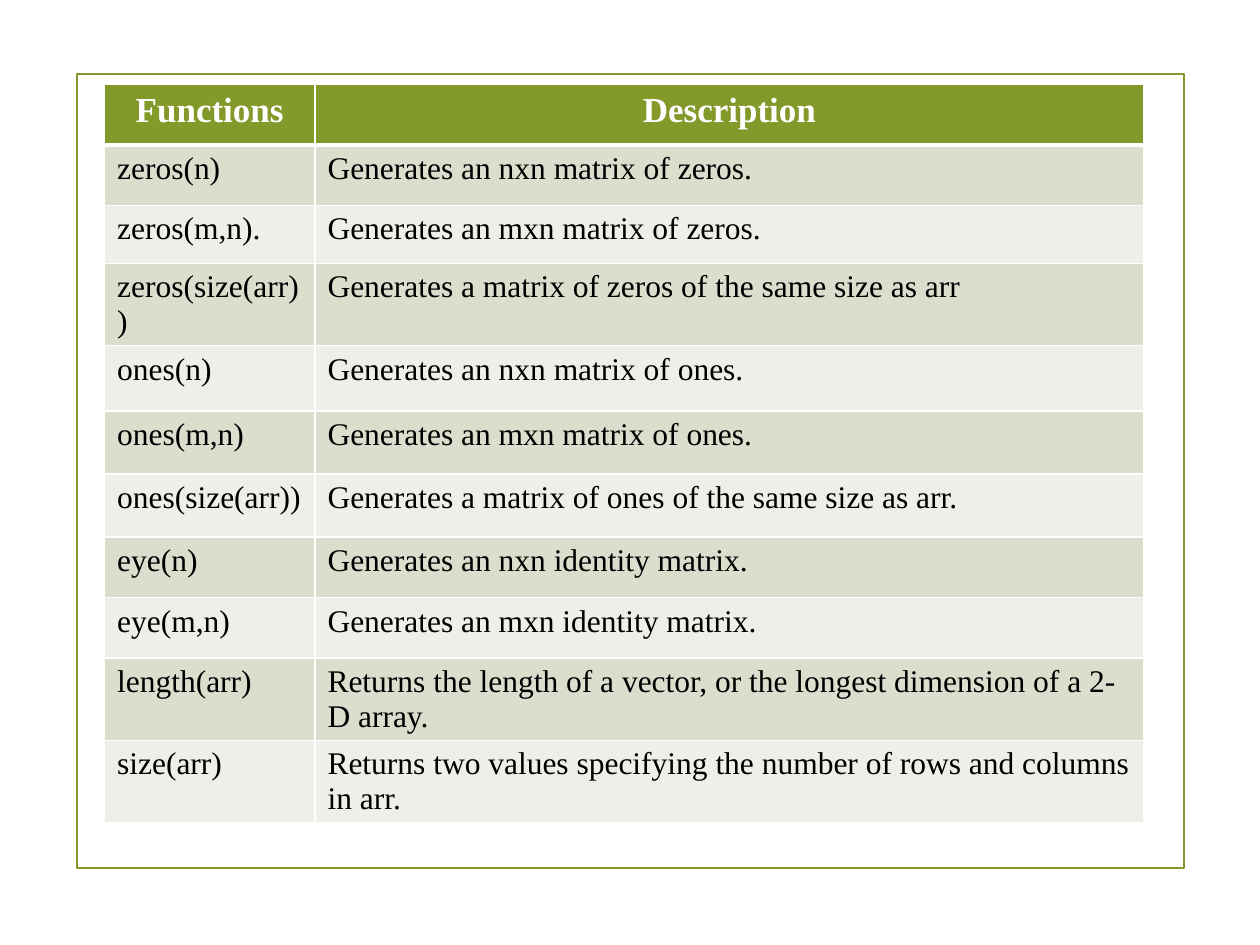
from dataclasses import dataclass

import lxml.etree
import pptx
import pptx.dml.color
import pptx.enum.shapes
import pptx.enum.text
import pptx.oxml.ns
import pptx.util
from pptx.util import Inches


@dataclass(frozen=True)
class Theme:
    font: str = "Times New Roman"
    header_size: int = 20
    body_size: int = 18
    frame_width: float = 1.25
    border_width: int = 1
    header_rule_width: int = 3
    green: str = "83992A"
    white: str = "FFFFFF"
    black: str = "000000"
    bands: tuple[str, str] = ("D9DECD", "EDEFE8")


@dataclass(frozen=True)
class FunctionRow:
    function: str
    description: str
    height: float = 0.48


@dataclass(frozen=True)
class CellStyle:
    fill: str
    color: str
    size: int
    bold: bool
    alignment: pptx.enum.text.PP_ALIGN
    top_width: int
    bottom_width: int


THEME = Theme()
COLUMN_WIDTHS = (1.67, 6.58)
ROWS = (
    FunctionRow("Functions", "Description"),
    FunctionRow("zeros(n)", "Generates an nxn matrix of zeros."),
    FunctionRow("zeros(m,n).", "Generates an mxn matrix of zeros.", 0.46),
    FunctionRow("zeros(size(arr))", "Generates a matrix of zeros of the same size as arr"),
    FunctionRow("ones(n)", "Generates an nxn matrix of ones.", 0.52),
    FunctionRow("ones(m,n)", "Generates an mxn matrix of ones.", 0.5),
    FunctionRow("ones(size(arr))", "Generates a matrix of ones of the same size as arr.", 0.5),
    FunctionRow("eye(n)", "Generates an nxn identity matrix."),
    FunctionRow("eye(m,n)", "Generates an mxn identity matrix."),
    FunctionRow("length(arr)", "Returns the length of a vector, or the longest dimension of a 2-D array."),
    FunctionRow("size(arr)", "Returns two values specifying the number of rows and columns in arr."),
)


def rgb(value: str) -> pptx.dml.color.RGBColor:
    return pptx.dml.color.RGBColor.from_string(value)


def row_style(index: int) -> CellStyle:
    """Header style for the first row, alternating bands below it."""
    align = pptx.enum.text.PP_ALIGN
    thin, thick = THEME.border_width, THEME.header_rule_width
    if index == 0:
        return CellStyle(THEME.green, THEME.white, THEME.header_size, True, align.CENTER, thin, thick)
    band = THEME.bands[(index - 1) % 2]
    top = thick if index == 1 else thin
    return CellStyle(band, THEME.black, THEME.body_size, False, align.LEFT, top, thin)


def add_border(cell, side: str, width: float) -> None:
    qualified = pptx.oxml.ns.qn
    properties = cell._tc.get_or_add_tcPr()
    line = lxml.etree.SubElement(properties, qualified(f"a:ln{side}"), w=str(pptx.util.Pt(width)))
    fill = lxml.etree.SubElement(line, qualified("a:solidFill"))
    lxml.etree.SubElement(fill, qualified("a:srgbClr"), val=THEME.white)


def fill_cell(cell, text: str, style: CellStyle) -> None:
    # Borders come before the fill in the cell properties
    widths = {"L": THEME.border_width, "R": THEME.border_width,
              "T": style.top_width, "B": style.bottom_width}
    for side, width in widths.items():
        add_border(cell, side, width)
    cell.fill.solid()
    cell.fill.fore_color.rgb = rgb(style.fill)

    paragraph = cell.text_frame.paragraphs[0]
    paragraph.alignment = style.alignment
    run = paragraph.add_run()
    run.text = text
    run.font.name = THEME.font
    run.font.size = pptx.util.Pt(style.size)
    run.font.bold = style.bold
    run.font.color.rgb = rgb(style.color)


def add_frame(slide) -> None:
    frame = slide.shapes.add_shape(
        pptx.enum.shapes.MSO_SHAPE.RECTANGLE,
        Inches(0.61), Inches(0.59), Inches(8.79), Inches(6.3))
    frame.shadow.inherit = False
    frame.fill.background()
    frame.line.color.rgb = rgb(THEME.green)
    frame.line.width = pptx.util.Pt(THEME.frame_width)


def add_function_table(slide) -> None:
    table = slide.shapes.add_table(
        len(ROWS), len(COLUMN_WIDTHS), Inches(0.83), Inches(0.67),
        Inches(sum(COLUMN_WIDTHS)), Inches(sum(row.height for row in ROWS))).table
    for column, width in zip(table.columns, COLUMN_WIDTHS):
        column.width = Inches(width)
    for index, row in enumerate(ROWS):
        table.rows[index].height = Inches(row.height)
        for column_index, text in enumerate((row.function, row.description)):
            fill_cell(table.cell(index, column_index), text, row_style(index))


def main() -> None:
    presentation = pptx.Presentation()
    presentation.slide_width = Inches(10)
    presentation.slide_height = Inches(7.5)
    # Blank layout: the slide has no title
    slide = presentation.slides.add_slide(presentation.slide_layouts[6])
    add_frame(slide)
    add_function_table(slide)
    presentation.save("out.pptx")


if __name__ == "__main__":
    main()
